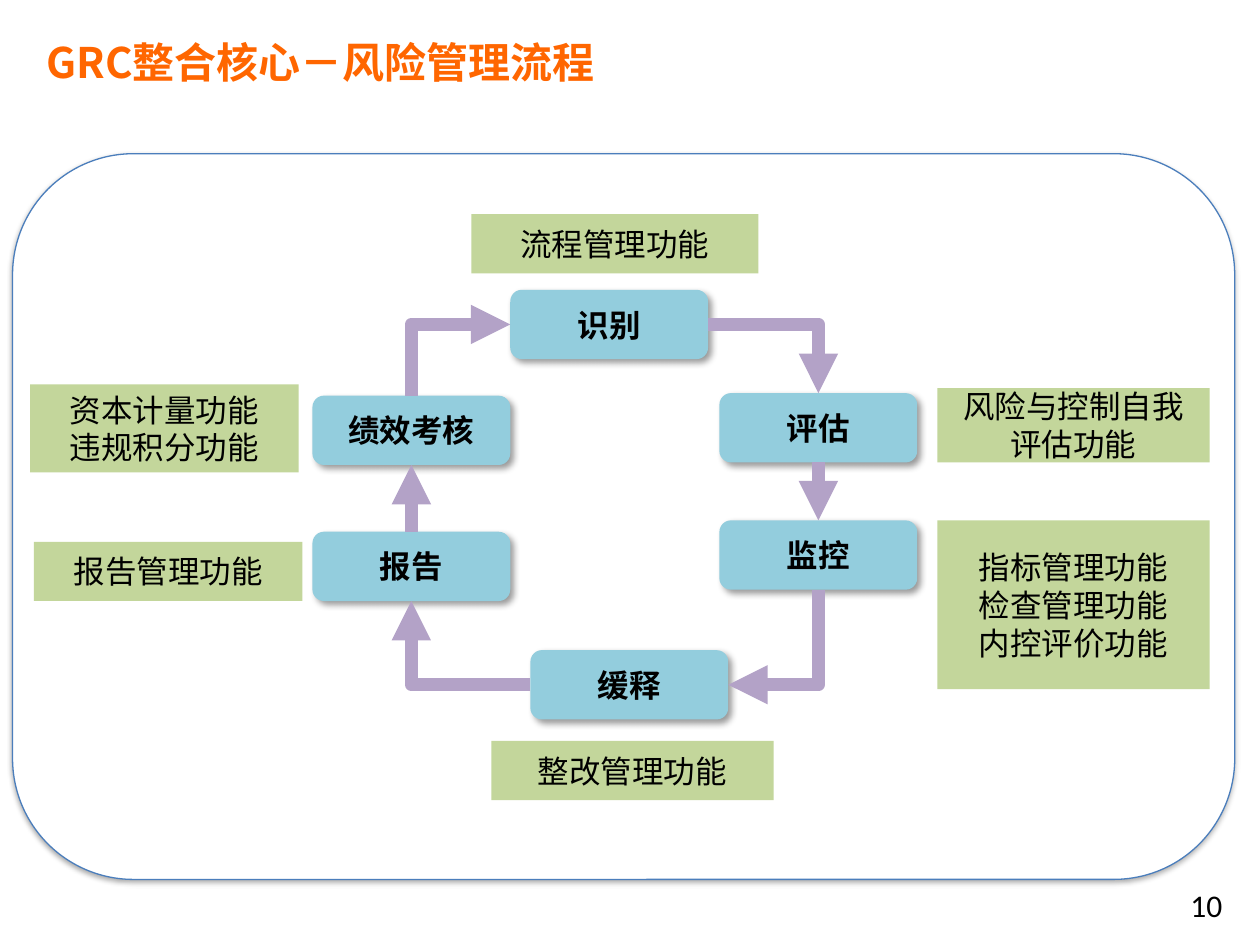
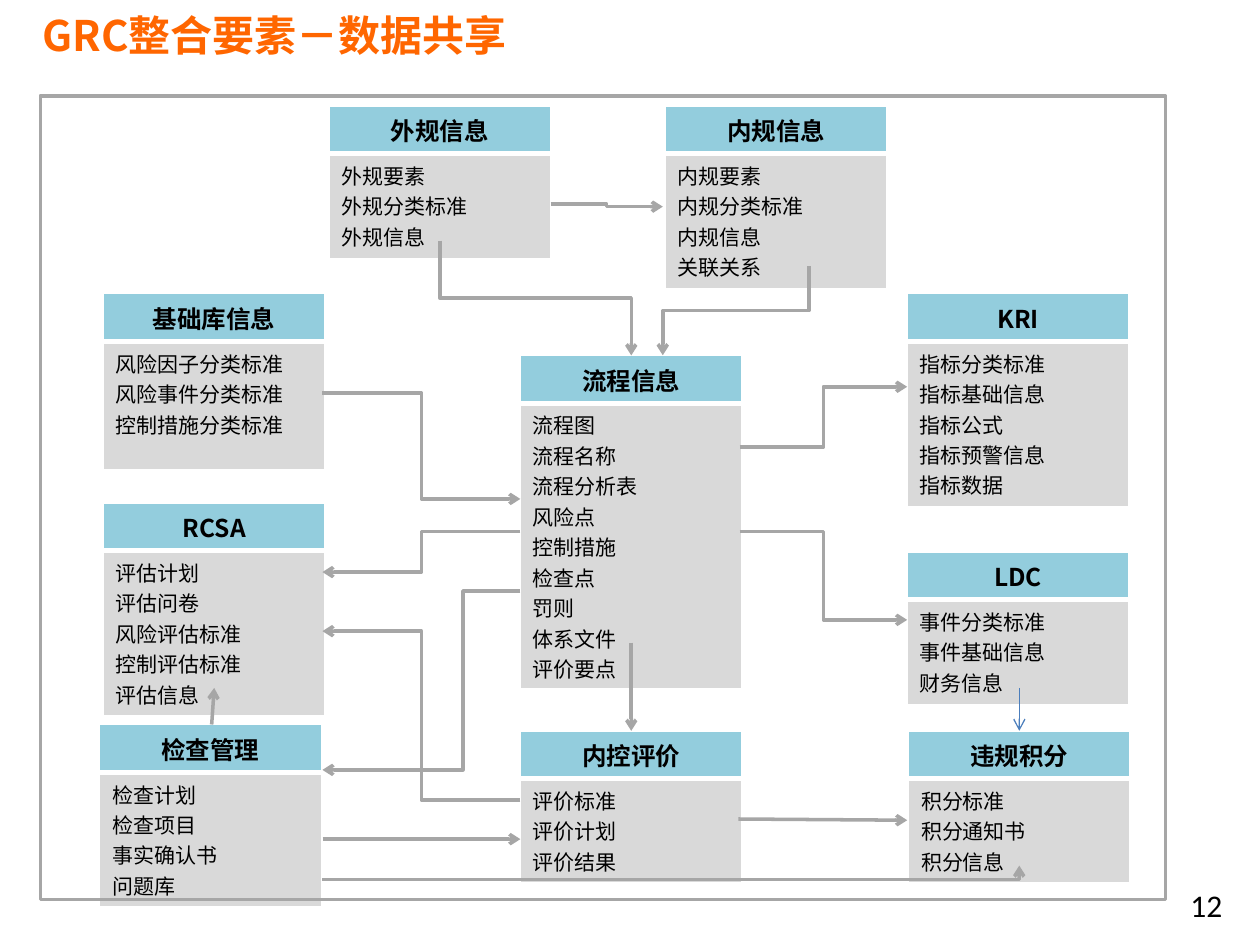
from typing import NamedTuple

from lxml import etree
from pptx import Presentation
from pptx.dml.color import RGBColor
from pptx.enum.shapes import MSO_CONNECTOR as CONN, MSO_SHAPE as SHAPE
from pptx.enum.text import MSO_ANCHOR as ANCHOR, PP_ALIGN as ALIGN
from pptx.oxml.ns import qn
from pptx.util import Emu, Inches, Pt

COLORS = {
    "title": "FF6600", "text": "000000", "white": "FFFFFF", "blue": "93CDDD",
    "green": "C3D69B", "purple": "B3A2C7", "grey": "D9D9D9",
    "line_grey": "A6A6A6", "line_blue": "4B7EBC",
}
CJK = "Noto Sans CJK SC"
FORMATS = {
    "title": {"size": Pt(24), "bold": True, "name": CJK},
    "number": {"size": Pt(18), "bold": False, "name": "Calibri"},
    "step": {"size": Pt(18), "bold": True, "name": CJK},
    "function": {"size": Pt(18), "bold": False, "name": CJK},
    "header": {"size": Pt(14), "bold": True, "name": CJK},
    "item": {"size": Pt(12), "bold": False, "name": CJK},
}
TOP, LEFT, BOTTOM, RIGHT = range(4)


class Shadow(NamedTuple):
    alpha: int
    blur: float
    dist: float
    angle: int


class Step(NamedTuple):
    text: str
    left: float
    top: float


class Function(NamedTuple):
    lines: tuple[str, ...]
    left: float
    top: float
    width: float
    height: float


class Link(NamedTuple):
    start: str
    start_side: int
    end: str
    end_side: int


class Entity(NamedTuple):
    header: str
    left: float
    top: float
    items: tuple[str, ...]
    body: float = 0  # 0: as tall as the items need


class Flow(NamedTuple):
    start: tuple[float, float]
    end: tuple[float, float]
    kind: str = "h"  # "h" or "v": first direction of an elbow; "line": straight
    bends: int = 2
    adj: float = 0.5
    color: str = "line_grey"
    width: float = 2


PANEL_SHADOW = Shadow(35, 3.1, 1.8, 90)
STEP_SHADOW = Shadow(40, 4, 3, 45)
STEP_W, STEP_H = 1.57, 0.55
TABLE_W, HEADER_H = 1.76, 0.38
ITEM_H, BODY_PADDING = 0.24, 0.11

STEPS = [
    Step("识别", 4.05, 2.3), Step("评估", 5.71, 3.12), Step("监控", 5.71, 4.13),
    Step("缓释", 4.21, 5.16), Step("报告", 2.48, 4.22), Step("绩效考核", 2.48, 3.14),
]
FUNCTIONS = [
    Function(("流程管理功能",), 3.74, 1.7, 2.28, 0.47),
    Function(("风险与控制自我评估功能",), 7.44, 3.08, 2.16, 0.59),
    Function(("指标管理功能", "检查管理功能", "内控评价功能"), 7.44, 4.13, 2.16, 1.34),
    Function(("整改管理功能",), 3.9, 5.88, 2.24, 0.47),
    Function(("报告管理功能",), 0.27, 4.3, 2.13, 0.47),
    Function(("资本计量功能", "违规积分功能"), 0.24, 3.05, 2.13, 0.7),
]
LINKS = [
    Link("识别", RIGHT, "评估", TOP), Link("评估", BOTTOM, "监控", TOP),
    Link("监控", BOTTOM, "缓释", RIGHT), Link("缓释", LEFT, "报告", BOTTOM),
    Link("报告", TOP, "绩效考核", BOTTOM), Link("绩效考核", TOP, "识别", LEFT),
]
ENTITIES = [
    Entity("流程信息", 4.13, 2.82, ("流程图", "流程名称", "流程分析表", "风险点", "控制措施",
                                "检查点", "罚则", "体系文件", "评价要点")),
    Entity("外规信息", 2.61, 0.84, ("外规要素", "外规分类标准", "外规信息")),
    Entity("内规信息", 5.28, 0.84, ("内规要素", "内规分类标准", "内规信息", "关联关系")),
    Entity("基础库信息", 0.82, 2.33,
           ("风险因子分类标准", "风险事件分类标准", "控制措施分类标准"), 1.02),
    Entity("RCSA", 0.82, 3.99,
           ("评估计划", "评估问卷", "风险评估标准", "控制评估标准", "评估信息")),
    Entity("LDC", 7.2, 4.38, ("事件分类标准", "事件基础信息", "财务信息")),
    Entity("KRI", 7.2, 2.33,
           ("指标分类标准", "指标基础信息", "指标公式", "指标预警信息", "指标数据")),
    Entity("检查管理", 0.79, 5.75, ("检查计划", "检查项目", "事实确认书", "问题库")),
    Entity("内控评价", 4.13, 5.8, ("评价标准", "评价计划", "评价结果")),
    Entity("违规积分", 7.21, 5.8, ("积分标准", "积分通知书", "积分信息")),
]
FLOWS = [
    Flow((4.37, 1.62), (5.26, 1.64)),
    Flow((3.49, 1.91), (5.01, 2.82), "v"),
    Flow((6.42, 2.11), (5.26, 2.82), "v"),
    Flow((2.56, 3.12), (4.13, 3.96)),
    Flow((4.13, 4.22), (2.56, 4.54)),
    Flow((5.87, 3.55), (7.2, 3.07)),
    Flow((5.86, 6.5), (7.2, 6.51), "line"),
    Flow((5.01, 5.1), (5.01, 5.8), "line"),
    Flow((2.56, 6.98), (8.09, 6.87), bends=1),
    Flow((4.13, 6.35), (2.56, 5.01)),
    Flow((8.09, 5.46), (8.09, 5.8), "line", color="line_blue", width=0.75),
    Flow((5.87, 4.22), (7.2, 4.92)),
    Flow((4.13, 4.69), (2.56, 6.11), adj=0.29),
    Flow((2.56, 6.66), (4.13, 6.66), "line"),
    Flow((1.68, 5.75), (1.7, 5.46), "line"),
]


def rgb(name: str) -> RGBColor:
    return RGBColor.from_string(COLORS[name])


def sub(parent, tag: str, **attrs):
    el = etree.SubElement(parent, qn(tag))
    for key, value in attrs.items():
        el.set(key, str(value))
    return el


# Text
def write(tf, lines, fmt: str, align=ALIGN.LEFT, color: str = "text") -> None:
    for i, line in enumerate(lines):
        p = tf.add_paragraph() if i else tf.paragraphs[0]
        p.alignment = align
        r = p.add_run()
        r.text = line
        for key, value in FORMATS[fmt].items():
            setattr(r.font, key, value)
        r.font.color.rgb = rgb(color)
        sub(r.font._element, "a:ea", typeface=FORMATS[fmt]["name"])


def add_text(slide, text: str, box, fmt: str, align=ALIGN.LEFT, color: str = "text") -> None:
    tf = slide.shapes.add_textbox(*map(Inches, box)).text_frame
    tf.word_wrap = True
    write(tf, [text], fmt, align, color)


# Shapes
def add_box(slide, kind, box, fill=None, line=None, width: float = 0, shadow=None):
    sp = slide.shapes.add_shape(kind, *map(Inches, box))
    sp.shadow.inherit = False
    if fill:
        sp.fill.solid()
        sp.fill.fore_color.rgb = rgb(fill)
    else:
        sp.fill.background()
    if line:
        sp.line.color.rgb = rgb(line)
        sp.line.width = Pt(width)
    else:
        sp.line.fill.background()
    if shadow:
        effects = sp._element.spPr.find(qn("a:effectLst"))
        outer = sub(effects, "a:outerShdw", blurRad=Pt(shadow.blur), dist=Pt(shadow.dist),
                    dir=shadow.angle * 60000, algn="ctr", rotWithShape=0)
        clr = sub(outer, "a:srgbClr", val=COLORS["text"])
        sub(clr, "a:alpha", val=shadow.alpha * 1000)
    return sp


def add_label(slide, lines, box, fmt: str, **look):
    sp = add_box(slide, box=box, **look)
    sp.text_frame.word_wrap = True
    sp.text_frame.vertical_anchor = ANCHOR.MIDDLE
    write(sp.text_frame, lines, fmt, ALIGN.CENTER)
    return sp


# Arrows
def add_arrow(slide, start, end, color: str, width: float, head: str, kind: str = "line",
              bends: int = 2, adj: float = 0.5):
    (x1, y1), (x2, y2) = start, end
    straight = kind == "line"
    c = slide.shapes.add_connector(CONN.STRAIGHT if straight else CONN.ELBOW,
                                   *map(Emu, (x1, y1, x2, y2)))
    sppr = c._element.spPr
    if not straight:
        geom = sppr.find(qn("a:prstGeom"))
        geom.set("prst", f"bentConnector{bends + 1}")
        if adj != 0.5:
            sub(geom.find(qn("a:avLst")), "a:gd", name="adj1", fmla=f"val {round(adj * 100000)}")
    if kind == "v":
        # A vertical start is the horizontal elbow turned by a quarter
        w, h = abs(y2 - y1), abs(x2 - x1)
        c.left, c.top = Emu((x1 + x2 - w) // 2), Emu((y1 + y2 - h) // 2)
        c.width, c.height = Emu(w), Emu(h)
        turn = {"rot": 90 * 60000, "flipH": int(y2 < y1), "flipV": int(x2 > x1)}
        for key, value in turn.items():
            sppr.find(qn("a:xfrm")).set(key, str(value))
    c.line.color.rgb = rgb(color)
    c.line.width = Pt(width)
    sub(sppr.find(qn("a:ln")), "a:tailEnd", type=head)
    sub(sppr, "a:effectLst")
    return c


def side_point(sp, side: int) -> tuple[int, int]:
    x = {LEFT: 0, RIGHT: sp.width}.get(side, sp.width // 2)
    y = {TOP: 0, BOTTOM: sp.height}.get(side, sp.height // 2)
    return sp.left + x, sp.top + y


def add_link(slide, link: Link, boxes: dict) -> None:
    start, end = boxes[link.start], boxes[link.end]
    p1, p2 = side_point(start, link.start_side), side_point(end, link.end_side)
    if p1[0] == p2[0]:
        c = add_arrow(slide, p1, p2, "purple", 7.5, "triangle")
        c.begin_connect(start, link.start_side)
        c.end_connect(end, link.end_side)
    else:
        kind = "h" if link.start_side in (LEFT, RIGHT) else "v"
        add_arrow(slide, p1, p2, "purple", 7.5, "triangle", kind, bends=1)


# Tables
def style_cell(cell, fill: str, borders: dict[str, float], anchor) -> None:
    cell.vertical_anchor = anchor
    tcpr = cell._tc.get_or_add_tcPr()
    for side, width in borders.items():
        ln = sub(tcpr, f"a:ln{side}", w=Pt(width))
        sub(sub(ln, "a:solidFill"), "a:srgbClr", val=COLORS["white"])
    cell.fill.solid()
    cell.fill.fore_color.rgb = rgb(fill)


def add_entity(slide, e: Entity) -> None:
    body_h = e.body or BODY_PADDING + ITEM_H * len(e.items)
    box = (e.left, e.top, TABLE_W, HEADER_H + body_h)
    table = slide.shapes.add_table(2, 1, *map(Inches, box)).table
    for row, height in zip(table.rows, (HEADER_H, body_h)):
        row.height = Inches(height)
    header, body = table.cell(0, 0), table.cell(1, 0)
    style_cell(header, "blue", {"L": 1, "R": 1, "T": 1, "B": 3}, ANCHOR.MIDDLE)
    style_cell(body, "grey", {"L": 1, "R": 1, "T": 3, "B": 1}, ANCHOR.TOP)
    write(header.text_frame, [e.header], "header", ALIGN.CENTER)
    write(body.text_frame, e.items, "item")


# Slides
def new_slide(prs, title: str, box, number: int):
    slide = prs.slides.add_slide(prs.slide_layouts[6])
    add_text(slide, title, box, "title", color="title")
    add_text(slide, str(number), (7.47, 6.98, 2.33, 0.52), "number", ALIGN.RIGHT)
    return slide


def build_process(prs) -> None:
    slide = new_slide(prs, "GRC整合核心－风险管理流程", (0.27, 0.24, 6.22, 0.54), 10)
    add_box(slide, SHAPE.ROUNDED_RECTANGLE, (0.1, 1.22, 9.7, 5.76), "white",
            "line_blue", 0.75, PANEL_SHADOW)
    boxes = {s.text: add_label(slide, [s.text], (s.left, s.top, STEP_W, STEP_H), "step",
                               kind=SHAPE.ROUNDED_RECTANGLE, fill="blue", shadow=STEP_SHADOW)
             for s in STEPS}
    for f in FUNCTIONS:
        add_label(slide, f.lines, f[1:], "function", kind=SHAPE.RECTANGLE, fill="green")
    for link in LINKS:
        add_link(slide, link, boxes)


def build_sharing(prs) -> None:
    slide = new_slide(prs, "GRC整合要素－数据共享", (0.24, 0.03, 5.04, 0.54), 12)
    for entity in ENTITIES:
        add_entity(slide, entity)
    for f in FLOWS:
        start, end = (tuple(map(Inches, point)) for point in (f.start, f.end))
        add_arrow(slide, start, end, f.color, f.width, "arrow", f.kind, f.bends, f.adj)
    add_box(slide, SHAPE.RECTANGLE, (0.32, 0.76, 8.93, 6.38), line="line_grey", width=2)


def main() -> None:
    prs = Presentation()
    prs.slide_width, prs.slide_height = Inches(10), Inches(7.5)
    build_process(prs)
    build_sharing(prs)
    prs.save("out.pptx")


if __name__ == "__main__":
    main()
